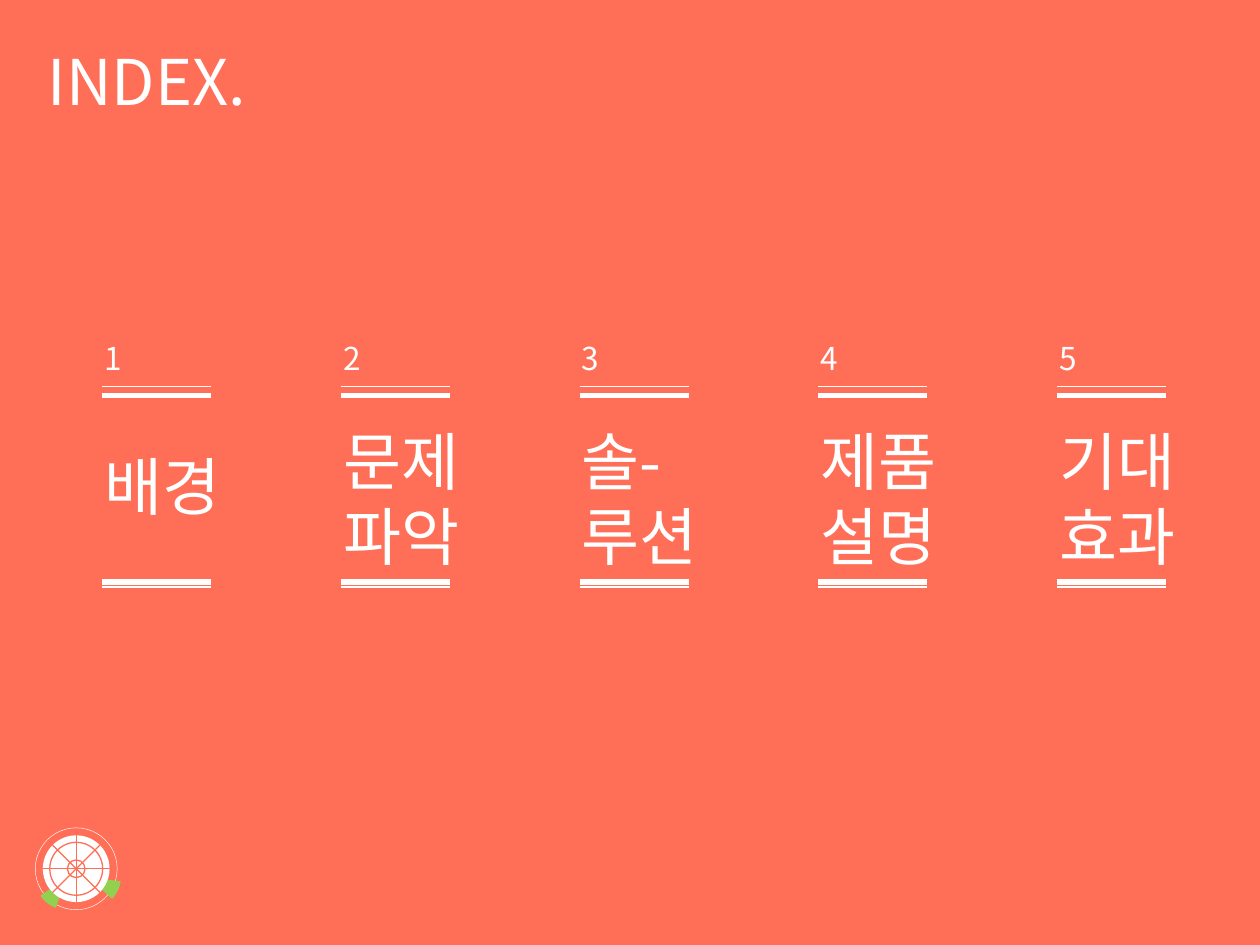
from collections import namedtuple
from dataclasses import dataclass

from lxml import etree
from pptx import Presentation
from pptx import util as u
from pptx.dml.color import RGBColor
from pptx.enum import lang, shapes, text
from pptx.oxml.ns import qn

COLUMNS, ROWS = 100, 75
CELL = u.Inches(0.1)
Box = namedtuple("Box", "left top width height")


@dataclass(frozen=True)
class Theme:
    """Colours, font, type sizes and line weights of the slide."""
    coral: RGBColor = RGBColor.from_string("FF6E57")
    white: RGBColor = RGBColor.from_string("FFFFFF")
    leaf: RGBColor = RGBColor.from_string("92D050")
    font: str = "Noto Sans CJK KR"
    heading: int = 36
    number: int = 18
    hairline: float = 0.25
    thin: float = 0.75
    thick: float = 3


THEME = Theme()
CHAPTERS = [["배경"], ["문제파악"], ["솔-루션"], ["제품설명"], ["기대", "효과"]]


def cells(*values):
    """Turn grid cells into slide lengths."""
    return [round(value * CELL) for value in values]


def write(shape, paragraphs, size):
    """Fill a text shape with white, left-aligned paragraphs."""
    frame = shape.text_frame
    frame.word_wrap = True
    frame.auto_size = text.MSO_AUTO_SIZE.SHAPE_TO_FIT_TEXT
    frame.vertical_anchor = text.MSO_ANCHOR.TOP
    for index, words in enumerate(paragraphs):
        paragraph = frame.add_paragraph() if index else frame.paragraphs[0]
        paragraph.alignment = text.PP_ALIGN.LEFT
        run = paragraph.add_run()
        run.text = words
        run.font.size = u.Pt(size)
        run.font.name = THEME.font
        run.font.color.rgb = THEME.white
        run.font.language_id = lang.MSO_LANGUAGE_ID.KOREAN
        latin = run.font.fill and run._r.rPr.find(qn("a:latin"))
        east_asian = etree.Element(qn("a:ea"), typeface=THEME.font)
        latin.addnext(east_asian)


def add_text(parent, box, paragraphs, size):
    """Add a text box."""
    write(parent.add_textbox(*cells(*box)), paragraphs, size)


def add_line(parent, start, end, color, weight):
    """Add a straight line without a shadow."""
    line = parent.add_connector(shapes.MSO_CONNECTOR.STRAIGHT, *cells(*start, *end))
    line.line.color.rgb = color
    line.line.width = u.Pt(weight)
    etree.SubElement(line._element.spPr, qn("a:effectLst"))


def add_figure(parent, kind, box, fill=None, line=None, weight=0):
    """Add a preset shape with an optional fill and outline."""
    shape = parent.add_shape(kind, *cells(*box))
    shape.shadow.inherit = False
    if fill is None:
        shape.fill.background()
    else:
        shape.fill.solid()
        shape.fill.fore_color.rgb = fill
    if line is None:
        shape.line.fill.background()
    else:
        shape.line.color.rgb = line
        shape.line.width = u.Pt(weight)
    return shape


def add_circle(parent, center, radius, **style):
    """Add a circle around a centre."""
    x, y = center
    box = Box(x - radius, y - radius, 2 * radius, 2 * radius)
    add_figure(parent, shapes.MSO_SHAPE.OVAL, box, **style)


def place_backdrop(slide, box):
    """Lay the coral field behind everything else."""
    field = add_figure(slide.shapes, shapes.MSO_SHAPE.RECTANGLE, box, fill=THEME.coral)
    slide.shapes.title._element.addprevious(field._element)


def place_title(slide, box):
    """Move and format the title placeholder."""
    title = slide.shapes.title
    title.left, title.top, title.width, title.height = cells(*box)
    write(title, ["INDEX."], THEME.heading)


def place_chapter(slide, box, number, paragraphs):
    """Place a chapter number and name between two double rules."""
    group = slide.shapes.add_group_shape().shapes
    single = len("".join(paragraphs)) == 2
    top, height = (8.6, 7.1) if single else (6.6, 13.1)
    name = Box(box.left, box.top + top, box.width, height)
    add_text(group, name, paragraphs, THEME.heading)
    left = box.left + 0.8
    right = left + 8.65
    rules = [(4.3, THEME.thin), (20.2, THEME.thin), (19.8, THEME.thick), (5, THEME.thick)]
    for offset, weight in rules:
        y = box.top + offset
        add_line(group, (left, y), (right, y), THEME.white, weight)
    add_text(group, box._replace(height=4), [str(number)], THEME.number)


def place_index(slide, box):
    """Spread the chapters over equal columns."""
    pitch = box.width / len(CHAPTERS)
    for index, paragraphs in enumerate(CHAPTERS):
        column = Box(box.left + index * pitch, box.top, 12.6, box.height)
        place_chapter(slide, column, index + 1, paragraphs)


def place_fruit_slice(slide, box):
    """Draw a round fruit slice with two leaves."""
    group = slide.shapes.add_group_shape().shapes
    x, y = center = box.left + box.width / 2, box.top + box.height / 2
    add_circle(group, center, box.width / 2, line=THEME.white, weight=THEME.hairline)
    for shift, angle in ((-3.35, 109.5), (-1.65, 7.7)):
        leaf_box = Box(x + shift, y - 1.85, 5.2, 5)
        leaf = add_figure(group, shapes.MSO_SHAPE.PIE, leaf_box, fill=THEME.leaf)
        leaf.adjustments[0], leaf.adjustments[1] = 0, 35 * 0.6
        leaf.rotation = angle
    add_circle(group, center, 2.65, fill=THEME.white)
    for dx, dy in ((0, 2.65), (2.65, 0), (-1.88, 1.88), (1.88, 1.88)):
        add_line(group, (x - dx, y - dy), (x + dx, y + dy), THEME.coral, THEME.thin)
    for radius in (2.1, 0.7):
        add_circle(group, center, radius, line=THEME.coral, weight=THEME.thin)


def main():
    """Build and save the index slide."""
    presentation = Presentation()
    presentation.slide_width, presentation.slide_height = cells(COLUMNS, ROWS)
    slide = presentation.slides.add_slide(presentation.slide_layouts[5])
    place_backdrop(slide, Box(0, 0, COLUMNS, ROWS))
    place_title(slide, Box(2.8, 2.9, 33.9, 7.1))
    place_index(slide, Box(7.3, 26.4, 94.75, 20.2))
    place_fruit_slice(slide, Box(2.8, 65.7, 6.5, 6.5))
    presentation.save("out.pptx")


if __name__ == "__main__":
    main()
